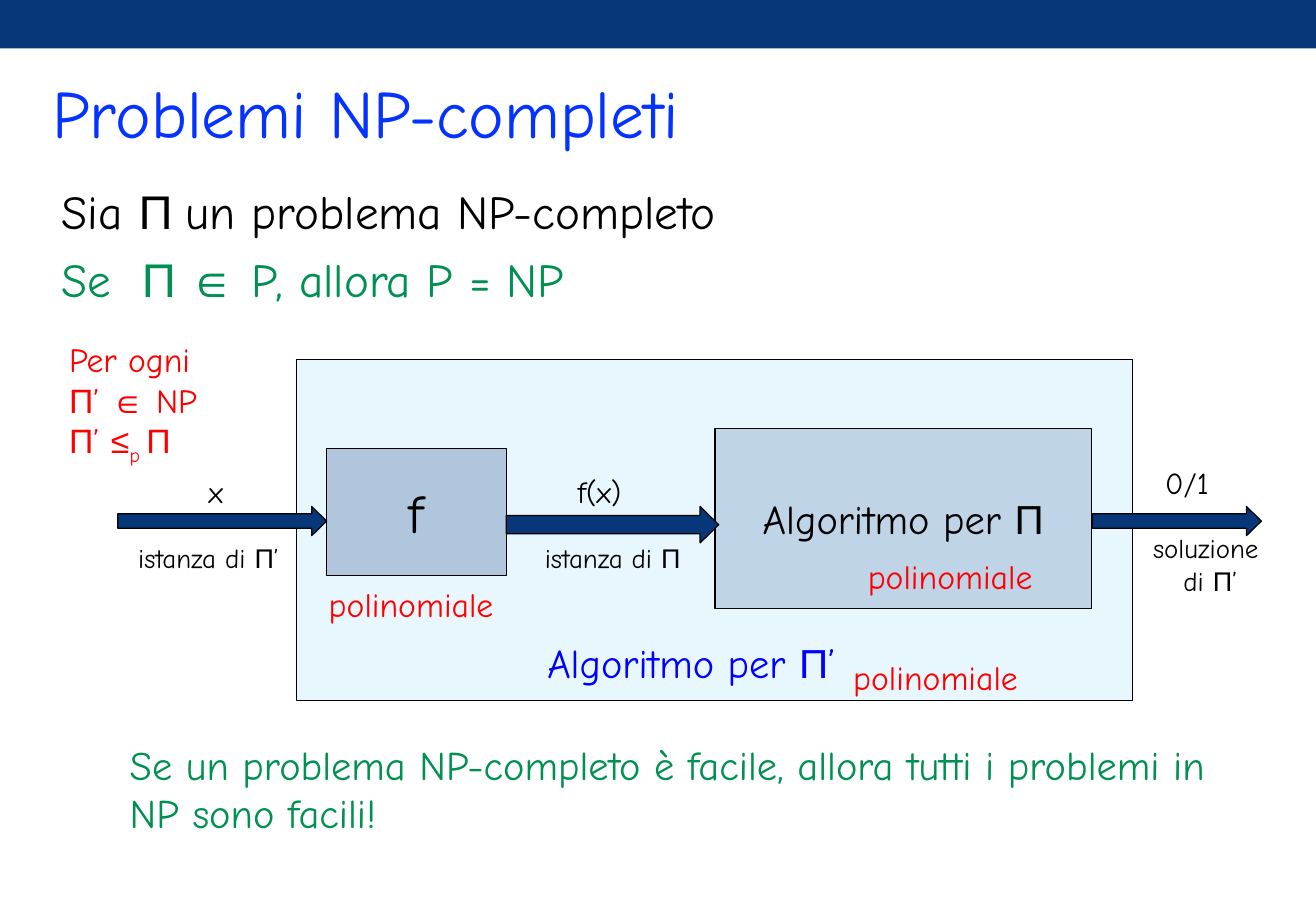
from pptx import Presentation
from pptx.dml.color import RGBColor
from pptx.enum.shapes import MSO_SHAPE as Shape
from pptx.enum.text import MSO_ANCHOR as Anchor, PP_ALIGN as Align
from pptx.util import Pt
from lxml.etree import SubElement
from pptx.oxml.ns import qn

PX = 9144
COLOURS = {
    "white": "FFFFFF", "black": "000000", "navy": "073779", "sky": "BCE8FD",
    "title": "0432FF", "green": "009051", "blue": "0000FF", "red": "FF0000",
}
TEXT_FONT, SYMBOL_FONT = "Comic Neue", "Arial"
SYMBOLS = "Π∈≤"


def colour(name):
    return RGBColor.from_string(COLOURS[name])


def scaled(*lengths):
    return [length * PX for length in lengths]


def add_span(para, text, size, ink):
    span = para.add_run()
    if text.startswith("_"):
        text = text[1:]
        span.font._element.set("baseline", "-25000")
    span.text = text
    span.font.size = Pt(size)
    span.font.name = SYMBOL_FONT if text[0] in SYMBOLS else TEXT_FONT
    span.font.color.rgb = colour(ink)


def write(shape, lines, size, ink, align=Align.LEFT, anchor=Anchor.TOP):
    frame = shape.text_frame
    frame.word_wrap = True
    frame.vertical_anchor = anchor
    for index, runs in enumerate(lines):
        para = frame.add_paragraph() if index else frame.paragraphs[0]
        para.alignment = align
        for text in runs:
            add_span(para, text, size, ink)
    return frame.paragraphs


def add_text(page, box, lines, size, ink, **options):
    return write(page.shapes.add_textbox(*scaled(*box)), lines, size, ink, **options)


def add_block(page, kind, box, fill, opacity=100, outlined=True):
    block = page.shapes.add_shape(kind, *scaled(*box))
    block.shadow.inherit = False
    block.fill.solid()
    block.fill.fore_color.rgb = colour(fill)
    if opacity < 100:
        solid = block.fill._xPr.find(qn("a:solidFill"))
        SubElement(solid[0], qn("a:alpha")).set("val", str(opacity * 1000))
    if outlined:
        block.line.color.rgb = colour("black")
        block.line.width = Pt(0.75)
    else:
        block.line.fill.background()
    return block


def draw_heading(page, box):
    left, top, width, height = box
    add_block(page, Shape.RECTANGLE, (left, top, width, 40), "navy", outlined=False)
    paras = add_text(page, (left + 33, top + 38, 975, height - 38),
                     [["Problemi NP-completi"]], 40, "title", anchor=Anchor.MIDDLE)
    paras[0].space_after = Pt(6)


def draw_statement(page, box):
    paras = add_text(page, box, [
        ["Sia ", "Π ", "un problema NP-completo"],
        ["Se\t", "Π ∈", " P, allora P = NP"],
    ], 28, "black")
    claim = paras[1]
    claim.space_before = Pt(7)
    for span in claim.runs:
        span.font.color.rgb = colour("green")
    stops = SubElement(claim._p.get_or_add_pPr(), qn("a:tabLst"))
    stop = SubElement(stops, qn("a:tab"))
    stop.set("pos", str(66 * PX))
    stop.set("algn", "l")


def draw_reduction(page, box):
    left, top, width, height = box

    def at(x, y, wide, high):
        return left + x, top + y, wide, high

    add_block(page, Shape.RECTANGLE, at(197, 22, 689, height - 22), "sky", 34)
    for place, opacity, runs, size in (
        ((222, 95, 148, 105), 25, ["f"], 32),
        ((542, 79, 310, 148), 18, ["Algoritmo per ", "Π"], 24),
    ):
        block = add_block(page, Shape.RECTANGLE, at(*place), "navy", opacity)
        write(block, [runs], size, "black", align=Align.CENTER, anchor=Anchor.MIDDLE)

    for x, wide, high in ((50, 172, 24), (370, 175, 30), (853, 139, 24)):
        arrow = add_block(page, Shape.RIGHT_ARROW, at(x, 143, wide, high), "navy")
        arrow.adjustments[0] = 0.5
        arrow.adjustments[1] = 0.51

    for place, runs, size, ink in (
        ((115, 111, 37, 40), ["x"], 18, "black"),
        ((419, 111, 71, 40), ["f(x)"], 18, "black"),
        ((903, 103, 60, 40), ["0/1"], 18, "black"),
        ((57, 167, 149, 37), ["istanza di ", "Π", "’"], 16, "black"),
        ((392, 167, 153, 37), ["istanza di ", "Π"], 16, "black"),
        ((394, 246, 346, 50), ["Algoritmo per ", "Π", "’"], 24, "blue"),
    ):
        add_text(page, at(*place), [runs], size, ink)

    add_text(page, at(883, 159, width - 883, 64),
             [["soluzione "], ["di ", "Π", "’"]], 16, "black", align=Align.CENTER)
    add_text(page, at(0, 0, 152, 115), [
        ["Per ogni ", "Π", "’ ", "∈", " NP"],
        ["Π", "’ ", "≤", "_p ", "Π"],
    ], 20, "red")
    for x, y in ((214, 202), (658, 179), (646, 262)):
        add_text(page, at(x, y, 174, 44), [["polinomiale"]], 20, "red")


def draw_conclusion(page, box):
    add_text(page, box, [[
        "Se un problema NP-completo è facile, allora tutti i problemi in NP sono facili!"
    ]], 24, "green")


def main():
    deck = Presentation()
    deck.slide_width, deck.slide_height = scaled(1084, 750)
    page = deck.slides.add_slide(deck.slide_layouts[6])
    page.background.fill.solid()
    page.background.fill.fore_color.rgb = colour("white")
    draw_heading(page, (0, 0, 1084, 146))
    draw_statement(page, (41, 145, 975, 125))
    draw_reduction(page, (47, 274, 1017, 303))
    draw_conclusion(page, (97, 604, 932, 90))
    deck.save("out.pptx")


if __name__ == "__main__":
    main()
